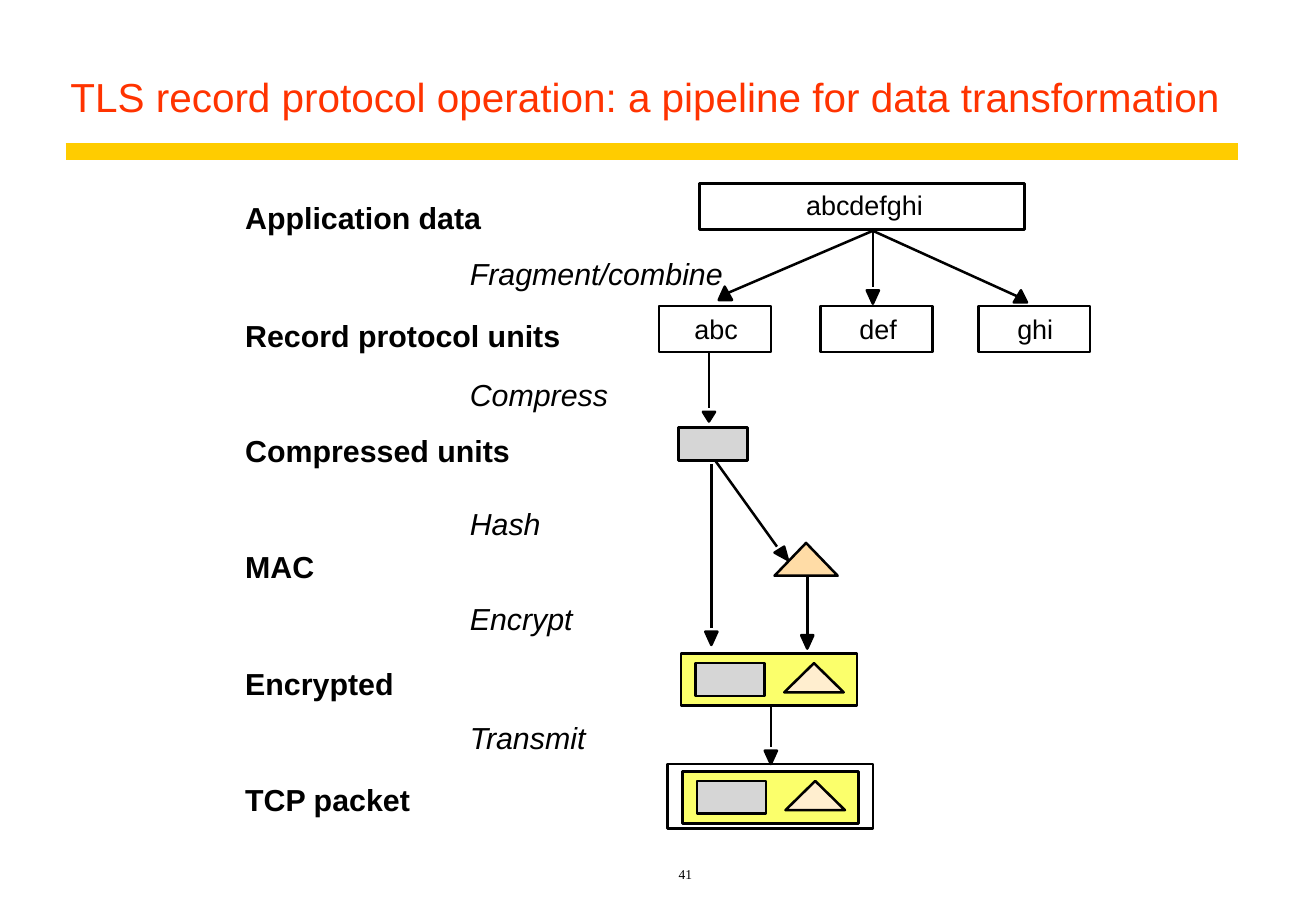
from dataclasses import dataclass

from lxml import etree
from pptx import Presentation
from pptx.dml.color import RGBColor
from pptx.enum import shapes, text
from pptx.oxml import ns
from pptx.util import Inches, Pt

Point = tuple[float, float]


@dataclass(frozen=True)
class Theme:
    sans: str = "Arial"
    serif: str = "Times New Roman"
    ink: str = "000000"
    title: str = "FF3300"
    rule: str = "FFCC00"
    white: str = "FFFFFF"
    gray: str = "D6D6D6"
    yellow: str = "FBFF6B"
    orange: str = "FFDCA6"
    cream: str = "FFEECF"
    head: float = 24
    label: float = 18
    data: float = 16
    page: float = 8
    line: float = 1.5
    bar: float = 10


@dataclass(frozen=True)
class Label:
    words: str
    left: float
    top: float
    width: float
    bold: bool = False
    slant: bool = False
    size: float = Theme.label
    height: float = 0.3


@dataclass(frozen=True)
class Arrow:
    start: Point
    end: Point
    tip: list[Point]


THEME = Theme()
SLACK = 0.06  # spare width that keeps each label on one line
deck = Presentation()
deck.slide_width, deck.slide_height = Inches(10.84), Inches(7.5)
slide = deck.slides.add_slide(deck.slide_layouts[5])


# Drawing helpers
def color(code: str) -> RGBColor:
    return RGBColor.from_string(code)


def write(frame, words: str, *, size: float, font: str = THEME.sans,
          ink: str = THEME.ink, bold: bool = False, slant: bool = False,
          align=text.PP_ALIGN.LEFT, anchor=text.MSO_ANCHOR.TOP,
          inset: Point = (0.1, 0.05), before: float = 0, lead: float = 1) -> None:
    frame.word_wrap, frame.auto_size = True, text.MSO_AUTO_SIZE.NONE
    frame.vertical_anchor = anchor
    frame.margin_left = frame.margin_right = Inches(inset[0])
    frame.margin_top = frame.margin_bottom = Inches(inset[1])
    para = frame.paragraphs[0]
    para.alignment, para.line_spacing = align, lead
    para.space_before = Pt(before)
    run = para.add_run()
    run.text = words
    run.font.name, run.font.size = font, Pt(size)
    run.font.bold, run.font.italic = bold, slant
    run.font.color.rgb = color(ink)


def style(shape, fill: str | None) -> None:
    shape.shadow.inherit = False
    if fill:
        shape.fill.solid()
        shape.fill.fore_color.rgb = color(fill)
    else:
        shape.fill.background()
    shape.line.color.rgb = color(THEME.ink)
    shape.line.width = Pt(THEME.line)


def box(left: float, top: float, width: float, height: float,
        fill: str | None = None) -> None:
    area = map(Inches, (left, top, width, height))
    style(slide.shapes.add_shape(shapes.MSO_SHAPE.RECTANGLE, *area), fill)


def outline(points: list[Point], fill: str) -> None:
    first, *rest = [(Inches(x), Inches(y)) for x, y in points]
    form = slide.shapes.build_freeform(*first)
    form.add_line_segments(rest, close=True)
    style(form.convert_to_shape(), fill)


def peak(left: float, top: float, width: float, height: float, fill: str) -> None:
    base = top + height
    outline([(left, base), (left + width / 2, top), (left + width, base)], fill)


def line(start: Point, end: Point, ink: str = THEME.ink,
         width: float = THEME.line) -> None:
    ends = map(Inches, (*start, *end))
    link = slide.shapes.add_connector(shapes.MSO_CONNECTOR.STRAIGHT, *ends)
    link.line.color.rgb = color(ink)
    link.line.width = Pt(width)
    etree.SubElement(link._element.spPr, ns.qn("a:effectLst"))


def down(x: float, top: float, height: float = 0.11) -> list[Point]:
    return [(x - 0.05, top), (x + 0.05, top), (x, top + height)]


def cipher(left: float, top: float) -> None:
    box(left, top, 1.45, 0.43, THEME.yellow)
    box(left + 0.12, top + 0.08, 0.57, 0.27, THEME.gray)
    peak(left + 0.85, top + 0.08, 0.49, 0.24, THEME.cream)


# Title, rule and page number
line((0.54, 1.25), (10.2, 1.25), THEME.rule, THEME.bar)
title = slide.shapes.title
title.left, title.top, title.width, title.height = map(Inches, (0.48, 0.25, 9.72, 0.8))
write(title.text_frame,
      "TLS record protocol operation: a pipeline for data transformation",
      size=THEME.head, ink=THEME.title, anchor=text.MSO_ANCHOR.BOTTOM, lead=0.9)
page = slide.shapes.add_textbox(*map(Inches, (2.35, 7, 6.59, 0.31)))
write(page.text_frame, "41", size=THEME.page, font=THEME.serif, before=5,
      align=text.PP_ALIGN.CENTER, anchor=text.MSO_ANCHOR.BOTTOM)

# Data at each stage
box(5.76, 1.51, 2.68, 0.38)
for left in (5.43, 6.76, 8.06):
    box(left, 2.52, 0.92, 0.38)
box(5.59, 3.52, 0.57, 0.27, THEME.gray)
peak(6.38, 4.47, 0.52, 0.27, THEME.orange)
cipher(5.61, 5.38)
box(5.5, 6.29, 1.69, 0.53, THEME.white)
cipher(5.62, 6.35)

# Arrows between stages
ARROWS = [
    Arrow((7.19, 1.9), (7.19, 2.36), down(7.19, 2.39)),
    Arrow((7.19, 1.9), (8.38, 2.44), [(8.41, 2.39), (8.46, 2.49), (8.35, 2.49)]),
    Arrow((7.19, 1.9), (6, 2.41), [(6.03, 2.47), (5.92, 2.47), (5.97, 2.36)]),
    Arrow((5.84, 2.9), (5.84, 3.36), down(5.84, 3.39, 0.08)),
    Arrow((5.89, 3.79), (6.4, 4.5), [(6.46, 4.5), (6.49, 4.61), (6.38, 4.55)]),
    Arrow((5.86, 3.82), (5.86, 5.17), down(5.86, 5.2)),
    Arrow((6.65, 4.74), (6.65, 5.23), down(6.65, 5.23)),
    Arrow((6.35, 5.82), (6.35, 6.15), down(6.35, 6.18)),
]
for arrow in ARROWS:
    line(arrow.start, arrow.end)
    outline(arrow.tip, THEME.ink)

# Stage names, steps and data text
STAGES = [("Application data", 1.64, 1.95), ("Record protocol units", 2.61, 2.6),
          ("Compressed units", 3.56, 2.18), ("MAC", 4.51, 0.57),
          ("Encrypted", 5.48, 1.22), ("TCP packet", 6.43, 1.36)]
STEPS = [("Fragment/combine", 2.1, 2.09), ("Compress", 3.1, 1.14),
         ("Hash", 4.16, 0.58), ("Encrypt", 4.94, 0.85), ("Transmit", 5.92, 0.97)]
DATA = [("abcdefghi", 6.64, 1.55, 0.96), ("abc", 5.72, 2.57, 0.36),
        ("def", 7.08, 2.57, 0.31), ("ghi", 8.38, 2.57, 0.3)]
LABELS = [
    *(Label(words, 2.02, top, width, bold=True) for words, top, width in STAGES),
    *(Label(words, 3.87, top, width, slant=True) for words, top, width in STEPS),
    *(Label(*item, size=THEME.data, height=0.27) for item in DATA),
]
for label in LABELS:
    area = map(Inches, (label.left, label.top, label.width + SLACK, label.height))
    write(slide.shapes.add_textbox(*area).text_frame, label.words, size=label.size,
          bold=label.bold, slant=label.slant, inset=(0, 0))

deck.save("out.pptx")
